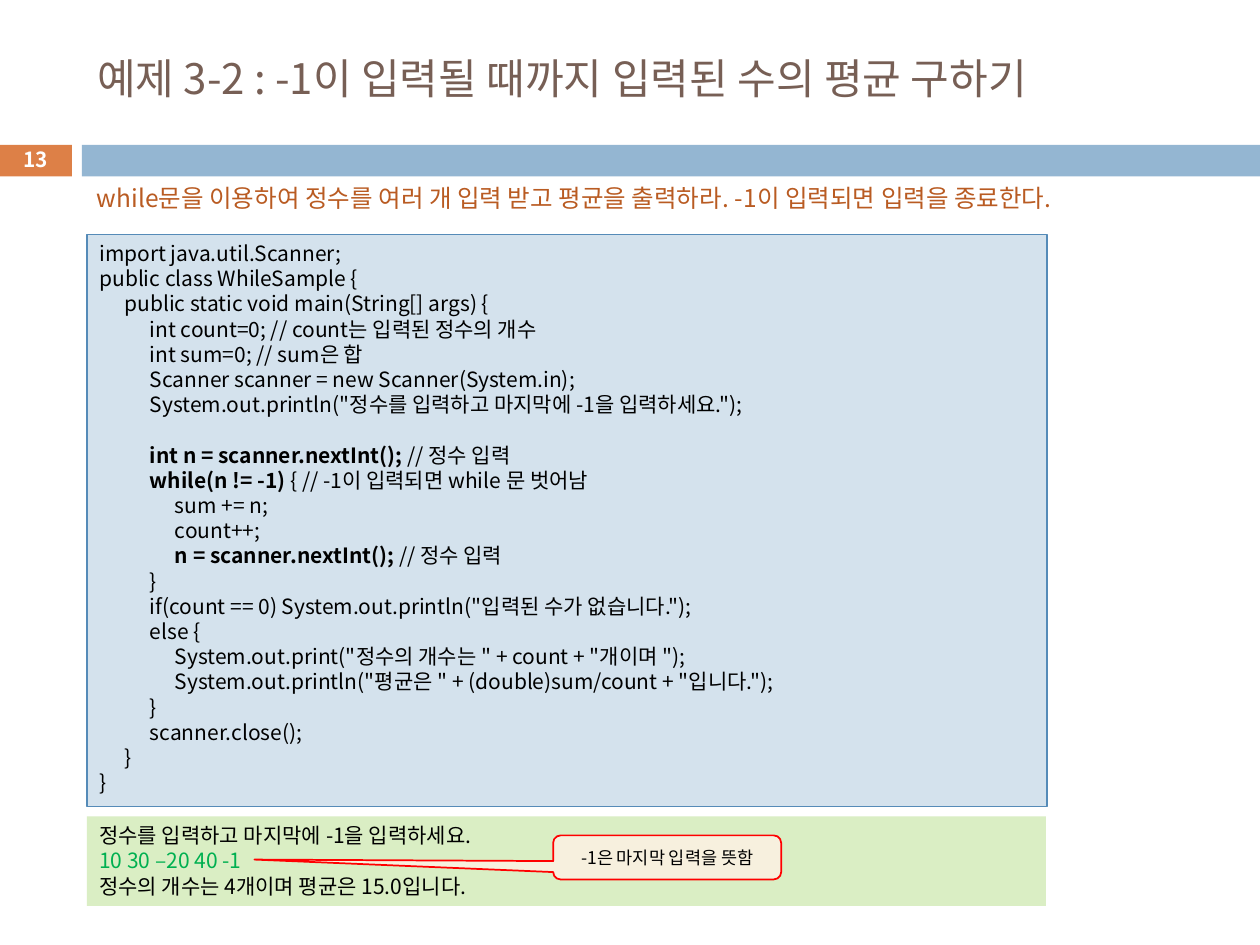
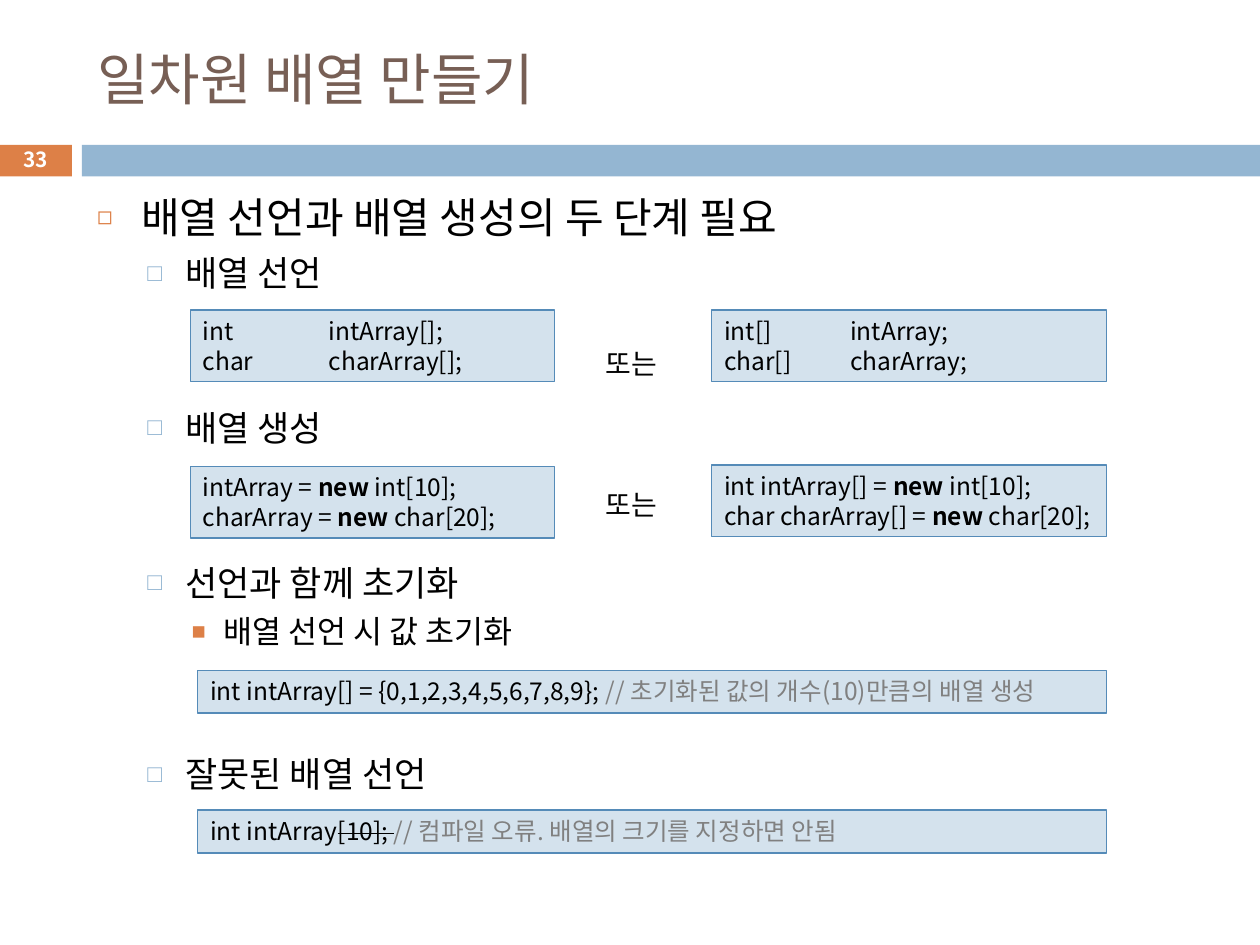
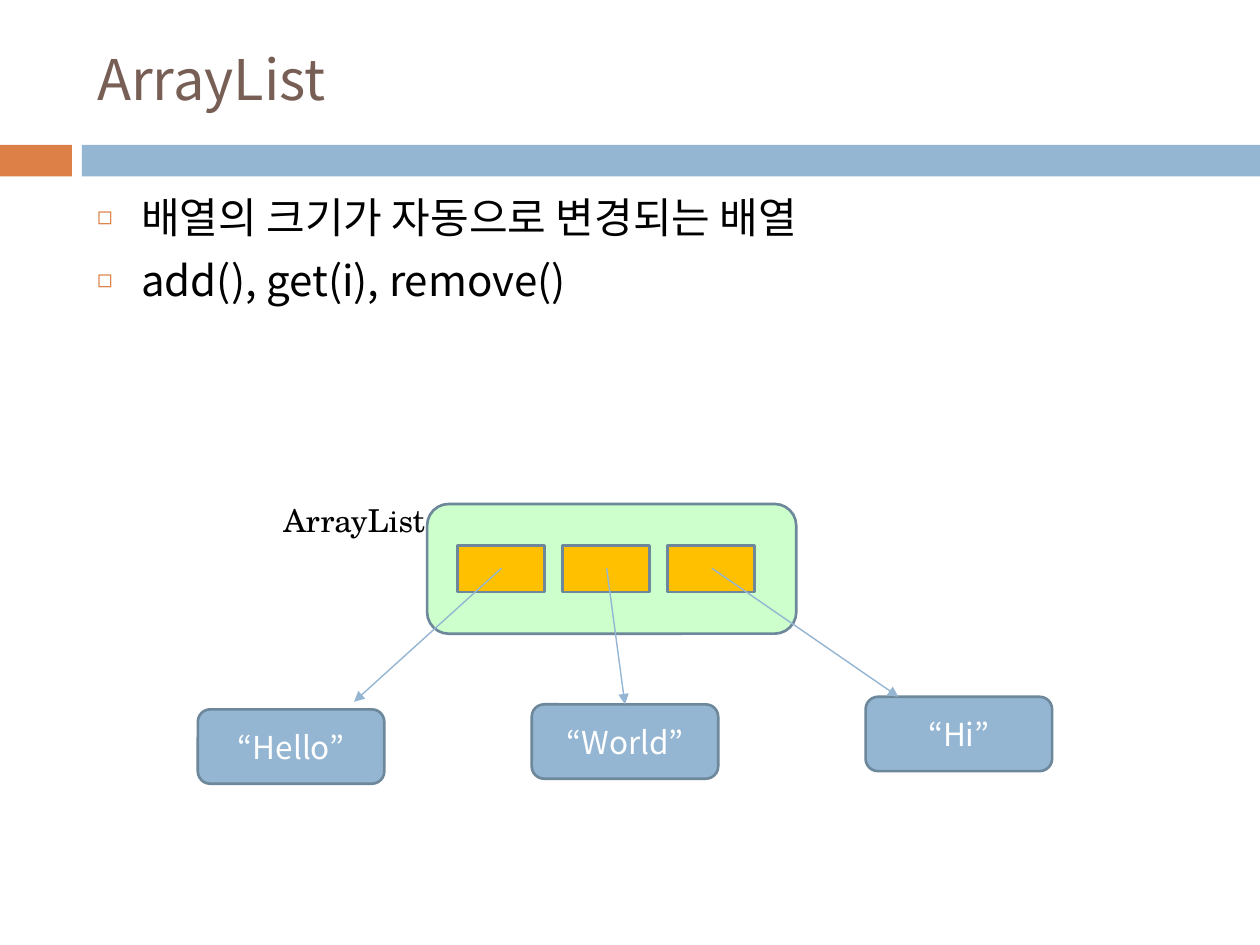
from dataclasses import dataclass

import pptx
import pptx.dml.color
import pptx.enum.shapes
import pptx.enum.text
import pptx.oxml.ns
import pptx.util
from lxml import etree

Inches, Pt = pptx.util.Inches, pptx.util.Pt
RGB = pptx.dml.color.RGBColor.from_string
SHAPE = pptx.enum.shapes.MSO_SHAPE
ALIGN = pptx.enum.text.PP_ALIGN
ANCHOR = pptx.enum.text.MSO_ANCHOR
qn = pptx.oxml.ns.qn


@dataclass(frozen=True)
class Theme:
    font: str = "Noto Sans CJK KR"
    serif: str = "TeX Gyre Schola"
    sans: str = "Arial"
    text: str = "000000"
    white: str = "FFFFFF"
    title: str = "775F55"
    accent: str = "DD8047"
    band: str = "94B6D2"
    task: str = "B95B22"
    code_fill: str = "D4E2ED"
    code_line: str = "558BB8"
    output_fill: str = "DAEEC4"
    typed: str = "00B050"
    comment: str = "808080"
    callout_fill: str = "F7F0DE"
    callout_line: str = "FF0000"
    outline: str = "6D879B"
    list_fill: str = "CCFFCC"
    cell_fill: str = "FFC000"
    title_size: int = 32
    long_title_size: int = 24
    code_size: int = 14
    small_code_size: int = 12
    note_size: int = 10
    label_size: int = 16
    object_size: int = 18
    line_height: float = 1.2


T = Theme()
BOLD = {"bold": True}
COMMENT = {"color": T.comment}
NUMBER_BOX = (-0.01, 1.13, 0.58, 0.27)
TITLE_BOX = (0.67, 0.25, 8.92, 0.74)
BODY_BOX = (0.67, 1.47, 8.92, 5.51)

# Indent, hanging, size, space before, bullet, its colour and its size in percent
LEVELS = [
    dict(left=0.35, hang=0.35, size=24, before=7, char="◻", color=T.accent, pct=60, font=T.font),
    dict(left=0.7, hang=0.3, size=20, before=5.5, char="□", color=T.band, pct=70, font=T.font),
    dict(left=1, hang=0.25, size=18, before=5, char="■", color=T.accent, pct=75, font=T.sans),
]


def box_inches(box):
    return [Inches(v) for v in box]


def add_run(p, text, size, color=T.text, bold=False, strike=False, font=T.font):
    r = p.add_run()
    r.text = text
    for name, value in dict(name=font, size=Pt(size), bold=bold).items():
        setattr(r.font, name, value)
    r.font.color.rgb = RGB(color)
    rPr = r.font._element if hasattr(r.font, "_element") else r._r.get_or_add_rPr()
    etree.SubElement(rPr, qn("a:ea")).set("typeface", T.font)
    if strike:
        rPr.set("strike", "sngStrike")


def set_tabs(p, step, count):
    tabs = etree.SubElement(p._p.get_or_add_pPr(), qn("a:tabLst"))
    for i in range(1, count + 1):
        etree.SubElement(tabs, qn("a:tab"), pos=str(Inches(step * i)), algn="l")


def set_bullet(p, level):
    pPr = p._p.get_or_add_pPr()
    pPr.set("marL", str(Inches(level["left"])))
    pPr.set("indent", str(-Inches(level["hang"])))
    color = etree.SubElement(pPr, qn("a:buClr"))
    etree.SubElement(color, qn("a:srgbClr"), val=level["color"])
    etree.SubElement(pPr, qn("a:buSzPct"), val=str(level["pct"] * 1000))
    etree.SubElement(pPr, qn("a:buChar"), char=level["char"])


def next_paragraph(tf):
    """Return the first paragraph while it is empty, then a new one."""
    return tf.add_paragraph() if tf.paragraphs[0].runs else tf.paragraphs[0]


def write(sp, lines, size, align=ALIGN.LEFT, anchor=ANCHOR.TOP, wrap=True, tab=None, **fmt):
    """Fill a shape; a line is a string or a list of (text, format) runs, "" is a gap."""
    tf = sp.text_frame
    for name, value in dict(word_wrap=wrap, vertical_anchor=anchor,
                            auto_size=pptx.enum.text.MSO_AUTO_SIZE.NONE).items():
        setattr(tf, name, value)
    gap = 0
    for line in lines:
        if not line:
            gap += size * T.line_height
            continue
        p = next_paragraph(tf)
        if tab:
            set_tabs(p, tab, 3)
        for name, value in dict(alignment=align, space_before=Pt(gap),
                                line_spacing=Pt(size * T.line_height)).items():
            setattr(p, name, value)
        gap = 0
        for text, own in [(line, {})] if isinstance(line, str) else line:
            add_run(p, text, size, **{**fmt, **own})


def add_box(s, box, fill, line=None, width=0.75, kind=SHAPE.RECTANGLE):
    sp = s.shapes.add_shape(kind, *box_inches(box))
    sp.shadow.inherit = False
    sp.fill.solid()
    sp.fill.fore_color.rgb = RGB(fill)
    if line:
        sp.line.color.rgb = RGB(line)
        sp.line.width = Pt(width)
    else:
        sp.line.fill.background()
    return sp


def add_label(s, box, text, size, **fmt):
    write(s.shapes.add_textbox(*box_inches(box)), [text], size, **fmt)


def add_code(s, box, lines, size=T.code_size, tab=None):
    write(add_box(s, box, T.code_fill, T.code_line), lines, size, tab=tab)


def add_arrow(s, start, end):
    line = s.shapes.add_connector(pptx.enum.shapes.MSO_CONNECTOR.STRAIGHT,
                                  *box_inches(start + end))
    line.line.color.rgb = RGB(T.band)
    line.line.width = Pt(0.79)
    etree.SubElement(line.line._get_or_add_ln(), qn("a:tailEnd"), type="triangle")
    etree.SubElement(line._element.spPr, qn("a:effectLst"))


def move(sp, box):
    for name, value in zip(("left", "top", "width", "height"), box_inches(box)):
        setattr(sp, name, value)


def add_bands(prs, s):
    """Draw the two bands and hand them to the slide master."""
    tree = prs.slide_master.shapes.element
    for i, (left, width, fill) in enumerate([(-0.01, 0.58, T.accent), (0.65, 9.35, T.band)]):
        band = add_box(s, (left, 1.15, width, 0.25), fill).element
        band.xpath(".//p:cNvPr")[0].set("id", str(20 + i))
        tree.insert(2 + i, band)


def new_slide(prs, layout, title, number=None, size=T.title_size, title_box=TITLE_BOX):
    s = prs.slides.add_slide(prs.slide_layouts.get_by_name(layout))
    move(s.shapes.title, title_box)
    write(s.shapes.title, [title], size, anchor=ANCHOR.MIDDLE, color=T.title)
    if number:
        add_label(s, NUMBER_BOX, number, 11.9, align=ALIGN.CENTER,
                  anchor=ANCHOR.MIDDLE, color=T.white, bold=True)
    return s


def fill_body(s, items):
    """Fill the body with (level, text, extra space before in points)."""
    body = s.placeholders[1]
    move(body, BODY_BOX)
    tf = body.text_frame
    tf.auto_size = pptx.enum.text.MSO_AUTO_SIZE.NONE
    for i, (depth, text, extra) in enumerate(items):
        level = LEVELS[depth]
        p = next_paragraph(tf)
        set_bullet(p, level)
        p.level = depth
        p.space_before = Pt(level["before"] + extra if i else 0)
        p.line_spacing = Pt(level["size"] * T.line_height)
        add_run(p, text, level["size"], font=level["font"])


def room(depth, lines):
    """Space that a number of lines of one level takes."""
    level = LEVELS[depth]
    return lines * (level["size"] * T.line_height + level["before"])


def add_output(s, box):
    left, top, width, height = box
    write(add_box(s, box, T.output_fill), [
        "정수를 입력하고 마지막에 -1을 입력하세요.",
        [("10 30 –20 40 -1", {"color": T.typed})],
        "정수의 개수는 4개이며 평균은 15.0입니다.",
    ], T.small_code_size)
    note = add_box(s, (left + 3.7, top + 0.15, 1.81, 0.35), T.callout_fill, T.callout_line, 1,
                   SHAPE.ROUNDED_RECTANGULAR_CALLOUT)
    for i, value in enumerate((-1.81, 0.05, 0.17)):
        note.adjustments[i] = value
    write(note, ["-1은 마지막 입력을 뜻함"], T.note_size, ALIGN.CENTER, ANCHOR.MIDDLE)


def while_slide(prs):
    s = new_slide(prs, "Title Only", "예제 3-2 : -1이 입력될 때까지 입력된 수의 평균 구하기", "13",
                  T.long_title_size, (0.67, 0.25, 9.13, 0.74))
    add_bands(prs, s)
    add_label(s, (0.67, 1.4, 8.55, 0.34),
              "while문을 이용하여 정수를 여러 개 입력 받고 평균을 출력하라. -1이 입력되면 입력을 종료한다.",
              14, color=T.task)
    add_code(s, (0.69, 1.86, 7.62, 4.54), [
        "import java.util.Scanner;",
        "public class WhileSample {",
        "\tpublic static void main(String[] args) {",
        "\t\tint count=0; // count는 입력된 정수의 개수",
        "\t\tint sum=0; // sum은 합",
        "\t\tScanner scanner = new Scanner(System.in);",
        "\t\tSystem.out.println(\"정수를 입력하고 마지막에 -1을 입력하세요.\");",
        "",
        [("\t\tint n = scanner.nextInt(); ", BOLD), ("// 정수 입력", {})],
        [("\t\twhile(n != -1) ", BOLD), ("{ // -1이 입력되면 while 문 벗어남", {})],
        "\t\t\tsum += n;",
        "\t\t\tcount++;",
        [("\t\t\tn = scanner.nextInt(); ", BOLD), ("// 정수 입력", {})],
        "\t\t}",
        "\t\tif(count == 0) System.out.println(\"입력된 수가 없습니다.\");",
        "\t\telse {",
        "\t\t\tSystem.out.print(\"정수의 개수는 \" + count + \"개이며 \");",
        "\t\t\tSystem.out.println(\"평균은 \" + (double)sum/count + \"입니다.\");",
        "\t\t}",
        "\t\tscanner.close();",
        "\t}",
        "}",
    ], T.small_code_size, tab=0.2)
    add_output(s, (0.69, 6.48, 7.61, 0.71))


def array_slide(prs):
    s = new_slide(prs, "Title and Content", "일차원 배열 만들기", "33")
    fill_body(s, [
        (0, "배열 선언과 배열 생성의 두 단계 필요", 0),
        (1, "배열 선언", 0),
        (1, "배열 생성", room(1, 2)),
        (1, "선언과 함께 초기화", room(1, 2)),
        (2, "배열 선언 시 값 초기화", 0),
        (1, "잘못된 배열 선언", room(2, 2)),
    ])

    def creation(prefix=""):
        return [[(f"{prefix and prefix[0]}intArray{prefix and prefix[2]} = ", {}),
                 ("new ", BOLD), ("int[10];", {})],
                [(f"{prefix and prefix[1]}charArray{prefix and prefix[2]} = ", {}),
                 ("new", BOLD), (" char[20];", {})]]

    pairs = [
        (2.46, 2.46, 2.7, ["int\tintArray[];", "char\tcharArray[];"],
         ["int[]\tintArray;", "char[]\tcharArray;"]),
        (3.7, 3.69, 3.82, creation(), creation(("int ", "char ", "[]"))),
    ]
    for left_top, right_top, or_top, left_code, right_code in pairs:
        add_code(s, (1.51, left_top, 2.89, 0.57), left_code, tab=1)
        add_label(s, (4.71, or_top, 0.73, 0.37), "또는", T.label_size, wrap=False)
        add_code(s, (5.65, right_top, 3.13, 0.57), right_code, tab=1)
    singles = [
        (5.32, [("int intArray[] = {0,1,2,3,4,5,6,7,8,9}; ", {}),
                ("// 초기화된 값의 개수(10)만큼의 배열 생성", COMMENT)]),
        (6.43, [("int intArray", {}), ("[10]; ", {"strike": True}),
                ("// 컴파일 오류. 배열의 크기를 지정하면 안됨", COMMENT)]),
    ]
    for top, line in singles:
        add_code(s, (1.57, top, 7.21, 0.34), [line])


def add_list_diagram(s, box):
    """Draw the list with its cells, and an arrow from each cell to its string."""
    left, top, width, height = box
    rounded = SHAPE.ROUNDED_RECTANGLE
    add_box(s, box, T.list_fill, T.outline, 1.5, rounded)
    # Text, top of its box, and arrow tip relative to that box
    strings = [("“Hello”", 1.63, (1.24, -0.06)), ("“World”", 1.59, (0.74, 0)),
               ("“Hi”", 1.53, (0.26, 0))]
    arrows = []
    for i, (text, drop, tip) in enumerate(strings):
        x, y = left - 1.82 + 2.65 * i, top + drop
        sp = add_box(s, (x, y, 1.48, 0.59), T.band, T.outline, 1.5, rounded)
        write(sp, [text], T.object_size, ALIGN.CENTER, ANCHOR.MIDDLE, color=T.white)
        cell_x, cell_y = left + 0.24 + 1.67 * i / 2, top + 0.33
        add_box(s, (cell_x, cell_y, 0.69, 0.37), T.cell_fill, T.outline, 1.5)
        arrows.append(((cell_x + 0.35, cell_y + 0.18), (x + tip[0], y + tip[1])))
    for start, end in arrows:
        add_arrow(s, start, end)
    add_label(s, (left - 1.24, top - 0.07, 1.34, 0.4), "ArrayList", T.object_size,
              wrap=False, font=T.serif)


def array_list_slide(prs):
    s = new_slide(prs, "Title and Content", "ArrayList")
    fill_body(s, [(0, "배열의 크기가 자동으로 변경되는 배열", 0),
                  (0, "add(), get(i), remove()", 0)])
    add_list_diagram(s, (3.39, 4, 2.93, 1.03))


def main():
    prs = pptx.Presentation()
    prs.slide_width, prs.slide_height = Inches(10), Inches(7.5)
    for build in (while_slide, array_slide, array_list_slide):
        build(prs)
    prs.save("out.pptx")


if __name__ == "__main__":
    main()
